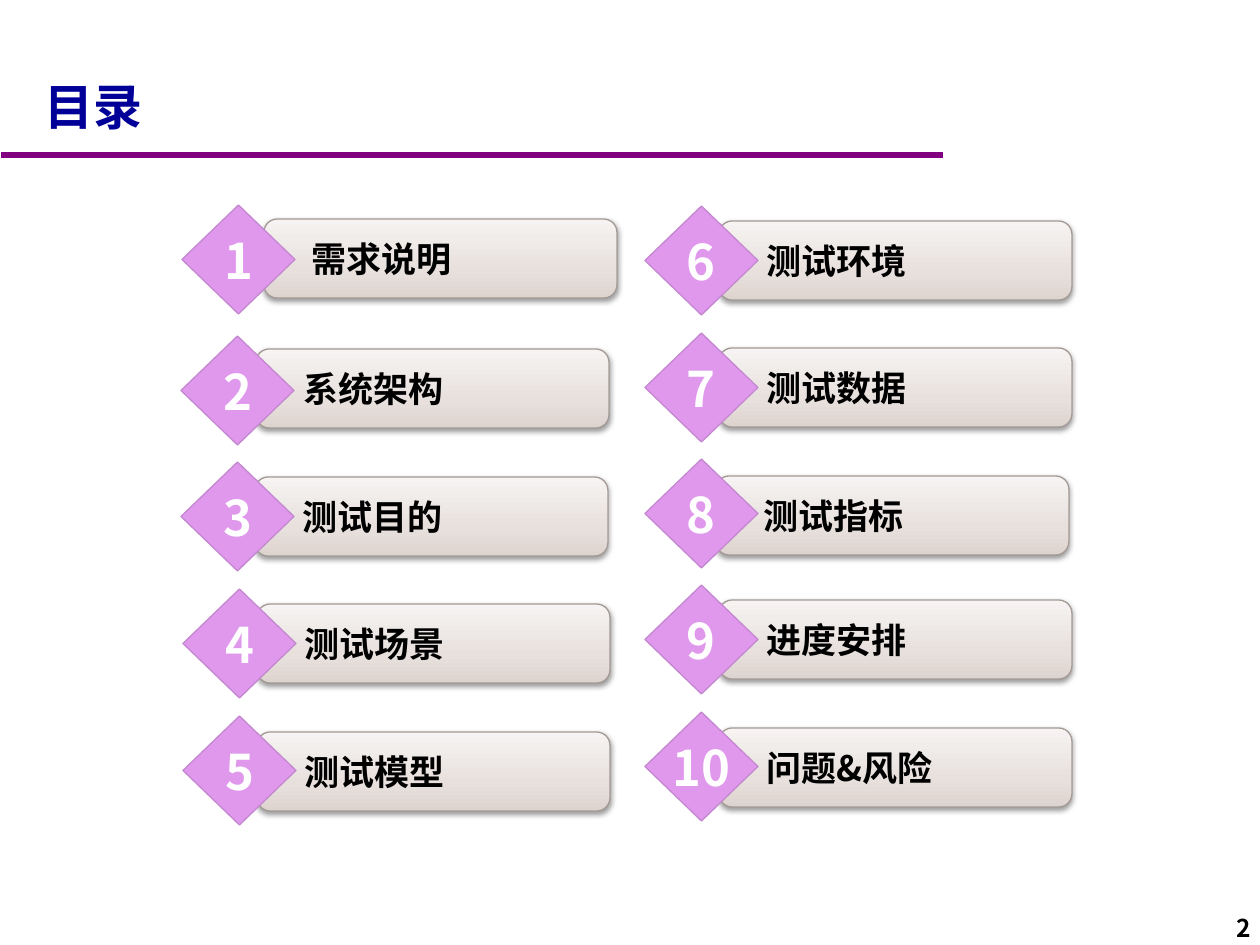
from lxml import etree
from pptx import Presentation
from pptx.dml.color import RGBColor
from pptx.enum.shapes import MSO_CONNECTOR, MSO_SHAPE
from pptx.enum.text import MSO_ANCHOR, MSO_AUTO_SIZE, PP_ALIGN
from pptx.oxml import parse_xml
from pptx.oxml.ns import nsdecls, qn
from pptx.util import Pt

PX = 914400 // 126  # EMU in one px
FONT = "Noto Sans CJK SC"
LEFT, CENTER, RIGHT = PP_ALIGN.LEFT, PP_ALIGN.CENTER, PP_ALIGN.RIGHT
MIDDLE, BOTTOM = MSO_ANCHOR.MIDDLE, MSO_ANCHOR.BOTTOM
ROUNDED, DIAMOND = MSO_SHAPE.ROUNDED_RECTANGLE, MSO_SHAPE.DIAMOND

DIAMOND_WIDTH, DIAMOND_HEIGHT = 113, 109
BAR_WIDTH, BAR_HEIGHT = 353, 79
BAR_STOPS = [(0, "DED4CF"), (35, "E7E0DD"), (100, "F6F3F2")]

# label, diamond left and top, bar offset from the diamond
ENTRIES = [
    ("需求说明", 182, 205, 82, 14),
    ("系统架构", 181, 336, 75, 13),
    ("测试目的", 181, 462, 74, 15),
    ("测试场景", 183, 589, 74, 15),
    ("测试模型", 183, 716, 74, 16),
    ("测试环境", 645, 206, 74, 15),
    ("测试数据", 645, 333, 74, 15),
    ("测试指标", 645, 459, 71, 17),
    ("进度安排", 645, 585, 74, 15),
    ("问题&风险", 645, 712, 74, 16),
]


def px(*lengths):
    return [length * PX for length in lengths]


def color(value):
    return RGBColor.from_string(value)


def write_text(shape, text, size, fill="000000", align=LEFT, anchor=MIDDLE,
               insets=(13, 6, 13, 6), wrap=True):
    frame = shape.text_frame
    frame.word_wrap = wrap
    frame.auto_size = MSO_AUTO_SIZE.NONE
    frame.vertical_anchor = anchor
    (frame.margin_left, frame.margin_top,
     frame.margin_right, frame.margin_bottom) = px(*insets)
    paragraph = frame.paragraphs[0]
    paragraph.alignment = align
    run = paragraph.add_run()
    run.text = text
    run.font.size = Pt(size)
    run.font.bold = True
    run.font.name = FONT
    run.font.color.rgb = color(fill)
    east_asian = etree.SubElement(run.font._element, qn("a:ea"))
    east_asian.set("typeface", FONT)


def add_box(slide, kind, box, line):
    shape = slide.shapes.add_shape(kind, *px(*box))
    shape.shadow.inherit = False
    shape.line.color.rgb = color(line)
    shape.line.width = Pt(0.75)
    return shape


def style_bar(shape):
    """Give a bar its three-stop gradient and soft shadow."""
    shape.fill.gradient()
    shape.fill.gradient_angle = 90
    properties = shape._element.spPr
    stops = properties.find(qn("a:gradFill")).find(qn("a:gsLst"))
    for stop in list(stops):
        stops.remove(stop)
    for position, value in BAR_STOPS:
        stops.append(parse_xml(
            f'<a:gs {nsdecls("a")} pos="{position * 1000}">'
            f'<a:srgbClr val="{value}"/></a:gs>'))
    properties.find(qn("a:effectLst")).append(parse_xml(
        f'<a:outerShdw {nsdecls("a")} blurRad="{Pt(3.1)}" dist="{Pt(1.6)}" '
        'dir="5400000" rotWithShape="0"><a:srgbClr val="000000">'
        '<a:alpha val="38000"/></a:srgbClr></a:outerShdw>'))


def add_header(slide, left, top, width, height):
    title = slide.shapes.title
    title.left, title.top, title.width, title.height = px(left, top, width, height)
    write_text(title, "目录", 28, fill="000099", anchor=BOTTOM)
    # Rule below the title, from the slide edge
    rule_top = top + height + 14
    rule = slide.shapes.add_connector(
        MSO_CONNECTOR.STRAIGHT, *px(1, rule_top, left + width, rule_top))
    rule.line.color.rgb = color("800080")
    rule.line.width = Pt(3)
    etree.SubElement(rule._element.spPr, qn("a:effectLst"))


def add_entry(slide, number, label, left, top, bar_x, bar_y):
    # Label bar
    bar = add_box(slide, ROUNDED,
                  (left + bar_x, top + bar_y, BAR_WIDTH, BAR_HEIGHT), "A49A95")
    style_bar(bar)
    write_text(bar, label, 20, insets=(44, 6, 13, 6))
    # Number diamond over the start of the bar
    diamond = add_box(slide, DIAMOND,
                      (left, top, DIAMOND_WIDTH, DIAMOND_HEIGHT), "C388CF")
    diamond.fill.solid()
    diamond.fill.fore_color.rgb = color("E098EC")
    write_text(diamond, str(number), 28, fill="FFFFFF", align=CENTER, wrap=False)


def add_page_number(slide, left, top, width, height):
    box = slide.shapes.add_textbox(*px(left, top, width, height))
    write_text(box, "2", 14, align=RIGHT, anchor=BOTTOM, insets=(0, 0, 0, 0))


def main():
    presentation = Presentation()
    presentation.slide_width, presentation.slide_height = px(1260, 945)
    slide = presentation.slides.add_slide(presentation.slide_layouts[5])
    add_header(slide, 32, 11, 911, 130)
    for number, entry in enumerate(ENTRIES, start=1):
        add_entry(slide, number, *entry)
    add_page_number(slide, 897, 903, 354, 39)
    presentation.save("out.pptx")


if __name__ == "__main__":
    main()
